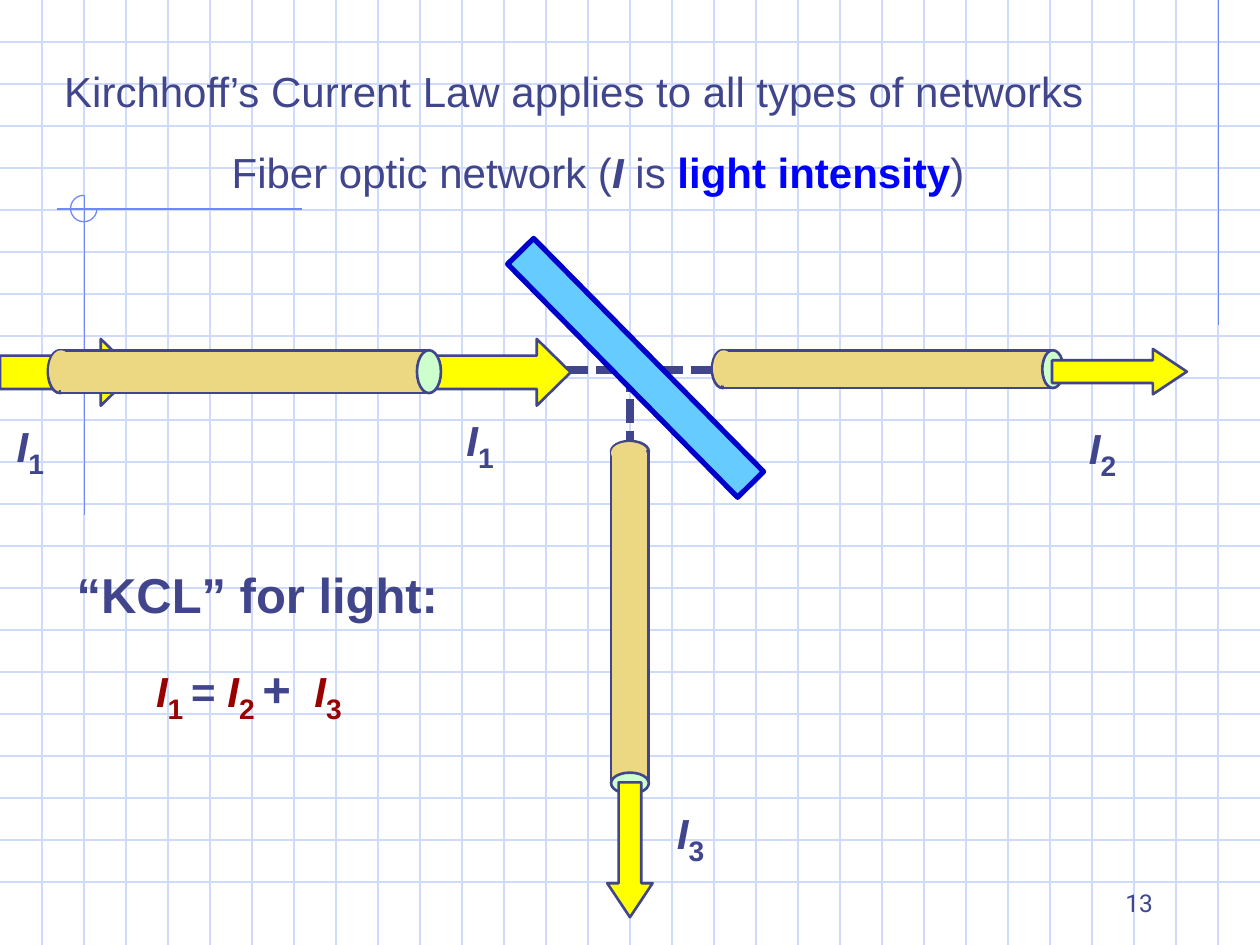
from dataclasses import dataclass

from lxml.etree import SubElement
from pptx import Presentation
from pptx.dml.color import RGBColor
from pptx.enum.dml import MSO_LINE
from pptx.enum.shapes import MSO_CONNECTOR, MSO_SHAPE as SHAPE
from pptx.enum.text import MSO_ANCHOR, MSO_AUTO_SIZE, PP_ALIGN
from pptx.oxml.ns import qn
from pptx.util import Inches, Pt


@dataclass(frozen=True)
class Theme:
    ink: str = "40458C"
    grid: str = "CFDBFD"
    accent: str = "6F89F7"
    fiber: str = "ECD882"
    fiber_end: str = "CCFFCC"
    light: str = "FFFF00"
    mirror: str = "66CCFF"
    mirror_edge: str = "0000CC"
    strong: str = "0000FF"
    term: str = "990000"
    font: str = "Arial"
    number_font: str = "Roboto"
    text: float = 24
    large: float = 28
    sub: float = 27.7
    small: float = 14
    hairline: float = 0.75
    outline: float = 1.5
    edge: float = 3
    beam: float = 4.5


T = Theme()
W, H, STEP = 10, 7.5, 1 / 3


def inches(*values):
    return [Inches(v) for v in values]


def add_line(slide, start, end, color, width, dash=None):
    c = slide.shapes.add_connector(MSO_CONNECTOR.STRAIGHT, *inches(*start, *end))
    c.line.color.rgb = RGBColor.from_string(color)
    c.line.width = Pt(width)
    if dash:
        c.line.dash_style = dash
    SubElement(c._element.spPr, qn("a:effectLst"))


def add_shape(slide, kind, box, fill, line=T.ink, width=T.outline):
    sp = slide.shapes.add_shape(kind, *inches(*box))
    sp.shadow.inherit = False
    if fill:
        sp.fill.solid()
        sp.fill.fore_color.rgb = RGBColor.from_string(fill)
    else:
        sp.fill.background()
    sp.line.color.rgb = RGBColor.from_string(line)
    sp.line.width = Pt(width)
    return sp


def write(sp, runs, size=T.text, font=T.font, bold=False, align=PP_ALIGN.LEFT,
          anchor=MSO_ANCHOR.TOP, wrap=False):
    """Fill a shape with one paragraph of (text, overrides) runs."""
    tf = sp.text_frame
    tf.word_wrap = wrap
    tf.auto_size = MSO_AUTO_SIZE.NONE
    tf.vertical_anchor = anchor
    p = tf.paragraphs[0]
    p.alignment = align
    p.font.name, p.font.size, p.font.bold = font, Pt(size), bold
    p.font.color.rgb = RGBColor.from_string(T.ink)
    for text, style in runs:
        r = p.add_run()
        r.text = text
        # Runs carry only what differs from the paragraph
        if "color" in style:
            r.font.color.rgb = RGBColor.from_string(style["color"])
        if "size" in style:
            r.font.size = Pt(style["size"])
        for name in ("bold", "italic"):
            if name in style:
                setattr(r.font, name, style[name])
        for name in ("baseline", "spc"):
            if name in style:
                r._r.get_or_add_rPr().set(name, str(style[name]))


def add_text(slide, box, runs, **style):
    write(slide.shapes.add_textbox(*inches(*box)), runs, **style)


def intensity(index, gap="", **style):
    """Runs for the letter I with a subscript."""
    return [("I", {"italic": True, **style}),
            (index + gap, {"size": T.sub, "baseline": -25000, **style})]


def add_background(slide):
    # Square grid
    for i in range(1, round(H / STEP)):
        add_line(slide, (0, i * STEP), (W, i * STEP), T.grid, T.hairline)
    for i in range(1, round(W / STEP)):
        add_line(slide, (i * STEP, 0), (i * STEP, H), T.grid, T.hairline)
    # Accent lines and the arc at their crossing
    for start, end in (((9.67, 0), (9.67, 2.58)),
                       ((0.45, 1.66), (2.4, 1.66)),
                       ((0.67, 1.55), (0.67, 4.09))):
        add_line(slide, start, end, T.accent, T.hairline)
    arc = add_shape(slide, SHAPE.ARC, (0.56, 1.55, 0.21, 0.21), None, T.accent, T.hairline)
    arc.adjustments[0], arc.adjustments[1] = 0, 162  # 0 and 270 degrees


def add_heading(slide, box):
    x, y, w, h = box
    title = slide.shapes.title
    title.left, title.top, title.width, title.height = inches(x, y, w, h)
    slide.shapes._spTree.append(title._element)  # above the grid
    write(title, [("Kirchhoff’s Current Law applies to all types of networks", {})])
    add_text(slide, (x + 1.33, y + 0.64, 6.02, h),
             [("Fiber optic network (", {}), ("I ", {"bold": True, "italic": True}),
              ("is ", {}), ("light intensity", {"bold": True, "color": T.strong}),
              (")", {})])


def add_fiber(slide, box):
    """A fiber along the longer side of its box, with light leaving the far end."""
    x, y, w, h = box
    upright = h > w
    length, thick = max(w, h), min(w, h)
    cap = thick * 0.56

    def part(kind, along, across, long, wide, fill, line=T.ink):
        place = ((x + across, y + along, wide, long) if upright
                 else (x + along, y + across, long, wide))
        add_shape(slide, kind, place, fill, line)

    part(SHAPE.OVAL, 0, 0, cap, thick, T.fiber)
    part(SHAPE.RECTANGLE, cap / 2, 0, length - cap, thick, T.fiber)
    part(SHAPE.OVAL, length - cap, 0, cap, thick, T.fiber_end)
    # Hides the seam between the near cap and the body
    part(SHAPE.OVAL, 0.02, 0.01, cap * 0.88, thick * 0.87, T.fiber, T.fiber)


def add_arrow(slide, box):
    """A light arrow along the longer side of its box, head 0.27 inches long."""
    _, _, w, h = box
    kind = SHAPE.DOWN_ARROW if h > w else SHAPE.RIGHT_ARROW
    add_shape(slide, kind, box, T.light).adjustments[1] = 0.27 / min(w, h)


def add_network(slide):
    # Beams behind the mirror
    for start, end in (((4.48, 2.94), (5.67, 2.94)), ((5, 2.92), (5, 3.75))):
        add_line(slide, start, end, T.ink, T.beam, MSO_LINE.SQUARE_DOT)
    mirror = add_shape(slide, SHAPE.RECTANGLE, (4.9, 1.62, 0.29, 2.6),
                       T.mirror, T.mirror_edge, T.edge)
    mirror.rotation = 315.4
    # Outgoing fibers, then the light, then the incoming fiber over its arrows
    add_fiber(slide, (4.85, 3.5, 0.3, 2.8))
    add_fiber(slide, (5.65, 2.78, 2.79, 0.3))
    for box in ((3.46, 2.69, 1.07, 0.53), (8.35, 2.77, 1.07, 0.36),
                (4.82, 6.21, 0.36, 1.07), (0, 2.69, 1.07, 0.53)):
        add_arrow(slide, box)
    add_fiber(slide, (0.38, 2.78, 3.12, 0.34))
    # Intensity labels
    for x, y, index in ((0.03, 3.24, "1"), (3.6, 3.19, "1"),
                        (8.54, 3.25, "2"), (5.27, 6.31, "3")):
        add_text(slide, (x, y, 0.42, 0.56), intensity(index),
                 bold=True, align=PP_ALIGN.CENTER)


def add_law(slide, box):
    x, y, w, h = box
    add_text(slide, (x, y, w, h), [("“KCL” for light:", {})], size=T.large, bold=True)
    equation = [*intensity("1", " ", color=T.term), ("= ", {}),
                *intensity("2", " ", color=T.term),
                ("+", {"size": T.large}), (" ", {"spc": 667}),
                *intensity("3", color=T.term)]
    add_text(slide, (x + 0.63, y + 0.75, 2.27, 0.62), equation, bold=True, wrap=True)


def main():
    prs = Presentation()
    prs.slide_width, prs.slide_height = inches(W, H)
    slide = prs.slides.add_slide(prs.slide_layouts[5])
    add_background(slide)
    add_text(slide, (7.17, 6.83, 2.08, 0.5), [("13", {})], size=T.small,
             font=T.number_font, align=PP_ALIGN.RIGHT, anchor=MSO_ANCHOR.BOTTOM, wrap=True)
    add_heading(slide, (0.41, 0.47, 8.3, 0.5))
    add_network(slide)
    add_law(slide, (0.51, 4.43, 3.08, 0.57))
    prs.save("out.pptx")


if __name__ == "__main__":
    main()
